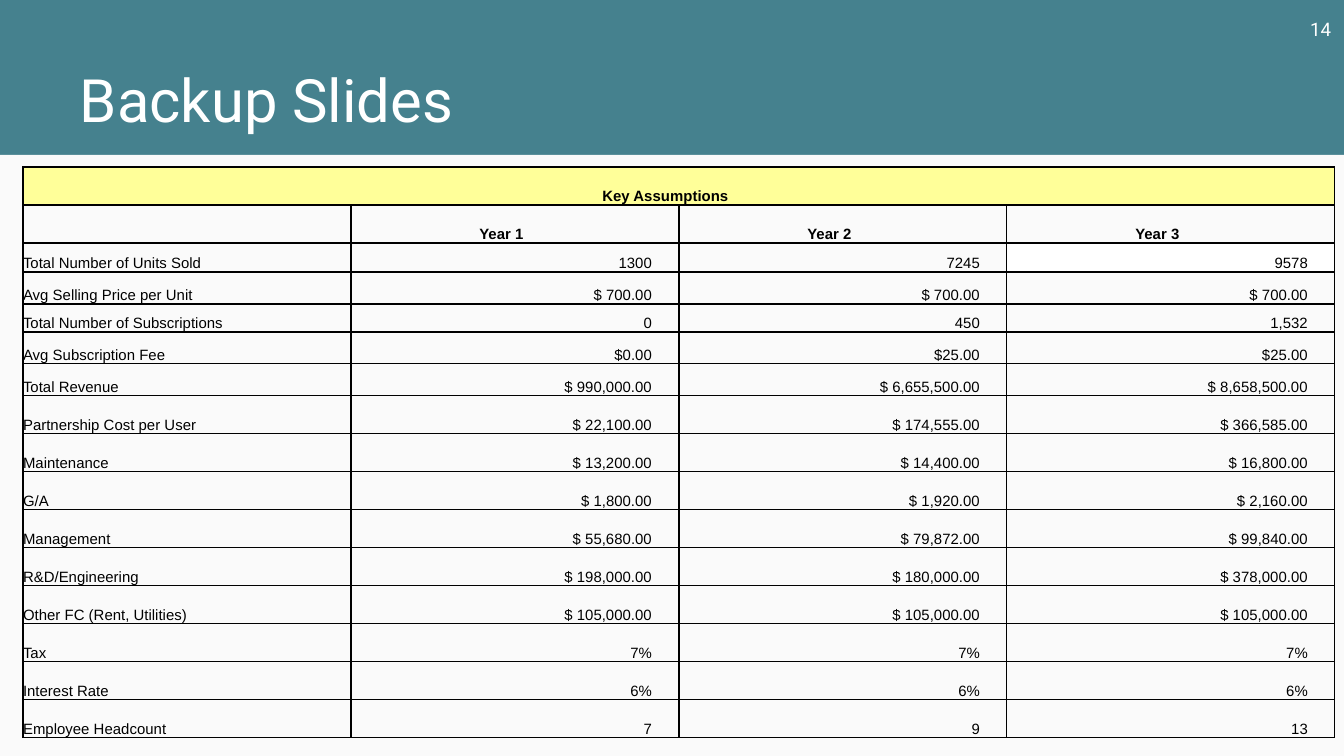
"""Build the backup slide with its table of key assumptions."""
from lxml.etree import SubElement
from pptx import Presentation
from pptx.dml.color import RGBColor
from pptx.enum.shapes import MSO_SHAPE
from pptx.enum.text import MSO_ANCHOR, PP_ALIGN
from pptx.oxml.ns import qn
from pptx.util import Pt

HEAD = "Key Assumptions"
YEARS = ["", "Year 1", "Year 2", "Year 3"]
DATA = [
    ("Total Number of Units Sold", "1300", "7245", "9578"),
    ("Avg Selling Price per Unit", "$ 700.00", "$ 700.00", "$ 700.00"),
    ("Total Number of Subscriptions", "0", "450", "1,532"),
    ("Avg Subscription Fee", "$0.00", "$25.00", "$25.00"),
    ("Total Revenue", "$ 990,000.00", "$ 6,655,500.00", "$ 8,658,500.00"),
    ("Partnership Cost per User", "$ 22,100.00", "$ 174,555.00", "$ 366,585.00"),
    ("Maintenance", "$ 13,200.00", "$ 14,400.00", "$ 16,800.00"),
    ("G/A", "$ 1,800.00", "$ 1,920.00", "$ 2,160.00"),
    ("Management", "$ 55,680.00", "$ 79,872.00", "$ 99,840.00"),
    ("R&D/Engineering", "$ 198,000.00", "$ 180,000.00", "$ 378,000.00"),
    ("Other FC (Rent, Utilities)", "$ 105,000.00", "$ 105,000.00", "$ 105,000.00"),
    ("Tax", "7%", "7%", "7%"),
    ("Interest Rate", "6%", "6%", "6%"),
    ("Employee Headcount", "7", "9", "13"),
]
ROWS = [(HEAD, "", "", ""), YEARS] + DATA
TALL = 38
HIGH = [TALL, TALL, 29, 32, 28, 32, 32] + [TALL] * 9
WIDE = 328
PAD = 27
INK = {"teal": "45818E", "page": "FAFAFA", "white": "FFFFFF",
       "black": "000000", "gold": "FFFF99"}
LEFT, MID, RIGHT = PP_ALIGN.LEFT, PP_ALIGN.CENTER, PP_ALIGN.RIGHT


def px(num):
    return round(num * 914400 / 134.4)


def paint(fill, name):
    fill.solid()
    fill.fore_color.rgb = RGBColor.from_string(INK[name])


def write(frame, text, size=8, face="Arial", ink="black", bold=False,
          align=LEFT, line=None, pad=0):
    para = frame.paragraphs[0]
    para.alignment = align
    para.line_spacing = line
    if pad:
        para._p.get_or_add_pPr().set("marR", str(px(pad)))
    if text:
        para.add_run().text = text
    font = para.runs[0].font if text else para.font
    font.size, font.name, font.bold = Pt(size), face, bold
    font.color.rgb = RGBColor.from_string(INK[ink])
    if not text:
        end = SubElement(para._p, qn("a:endParaRPr"))
        end.set("sz", str(size * 100))


def label(slide, box, anchor, text, **form):
    frame = slide.shapes.add_textbox(*map(px, box)).text_frame
    frame.word_wrap = True
    frame.vertical_anchor = anchor
    frame.margin_left = frame.margin_right = px(13)
    frame.margin_top = frame.margin_bottom = px(13)
    write(frame, text, face="Roboto", ink="white", **form)


def border(cell):
    props = cell._tc.get_or_add_tcPr()
    for spot, side in enumerate(("lnL", "lnR", "lnT", "lnB")):
        edge = props.makeelement(qn("a:" + side), {"w": str(Pt(0.75))})
        fill = SubElement(edge, qn("a:solidFill"))
        SubElement(fill, qn("a:srgbClr")).set("val", INK["black"])
        props.insert(spot, edge)


def grid(slide):
    cols = len(YEARS)
    table = slide.shapes.add_table(
        len(ROWS), cols, px(23), px(167), px(WIDE * cols), px(sum(HIGH))).table
    table.first_row = table.horz_banding = False
    for col in table.columns:
        col.width = px(WIDE)
    for row, high in zip(table.rows, HIGH):
        row.height = px(high)
    table.cell(0, 0).merge(table.cell(0, cols - 1))
    for r, row in enumerate(ROWS):
        for c, text in enumerate(row):
            cell = table.cell(r, c)
            cell.margin_left = cell.margin_right = 0
            cell.margin_top = cell.margin_bottom = 0
            cell.vertical_anchor = MSO_ANCHOR.BOTTOM
            align = MID if r < 2 else RIGHT if c else LEFT
            write(cell.text_frame, text, bold=r < 2, align=align,
                  line=1.15, pad=PAD)
            if r == 0:
                paint(cell.fill, "gold")
            elif (r, c) == (2, 3):
                paint(cell.fill, "white")
            else:
                cell.fill.background()
            border(cell)


def main():
    deck = Presentation()
    deck.slide_width, deck.slide_height = px(1344), px(756)
    slide = deck.slides.add_slide(deck.slide_layouts[6])
    paint(slide.background.fill, "teal")
    panel = slide.shapes.add_shape(
        MSO_SHAPE.RECTANGLE, 0, px(155), px(1344), px(601))
    panel.shadow.inherit = False
    paint(panel.fill, "page")
    panel.line.fill.background()
    label(slide, (67, 34, 1208, 113), MSO_ANCHOR.BOTTOM, "Backup Slides", size=32)
    label(slide, (1263, 0, 81, 58), MSO_ANCHOR.MIDDLE, "14", size=10, align=RIGHT)
    grid(slide)
    deck.save("out.pptx")


if __name__ == "__main__":
    main()
